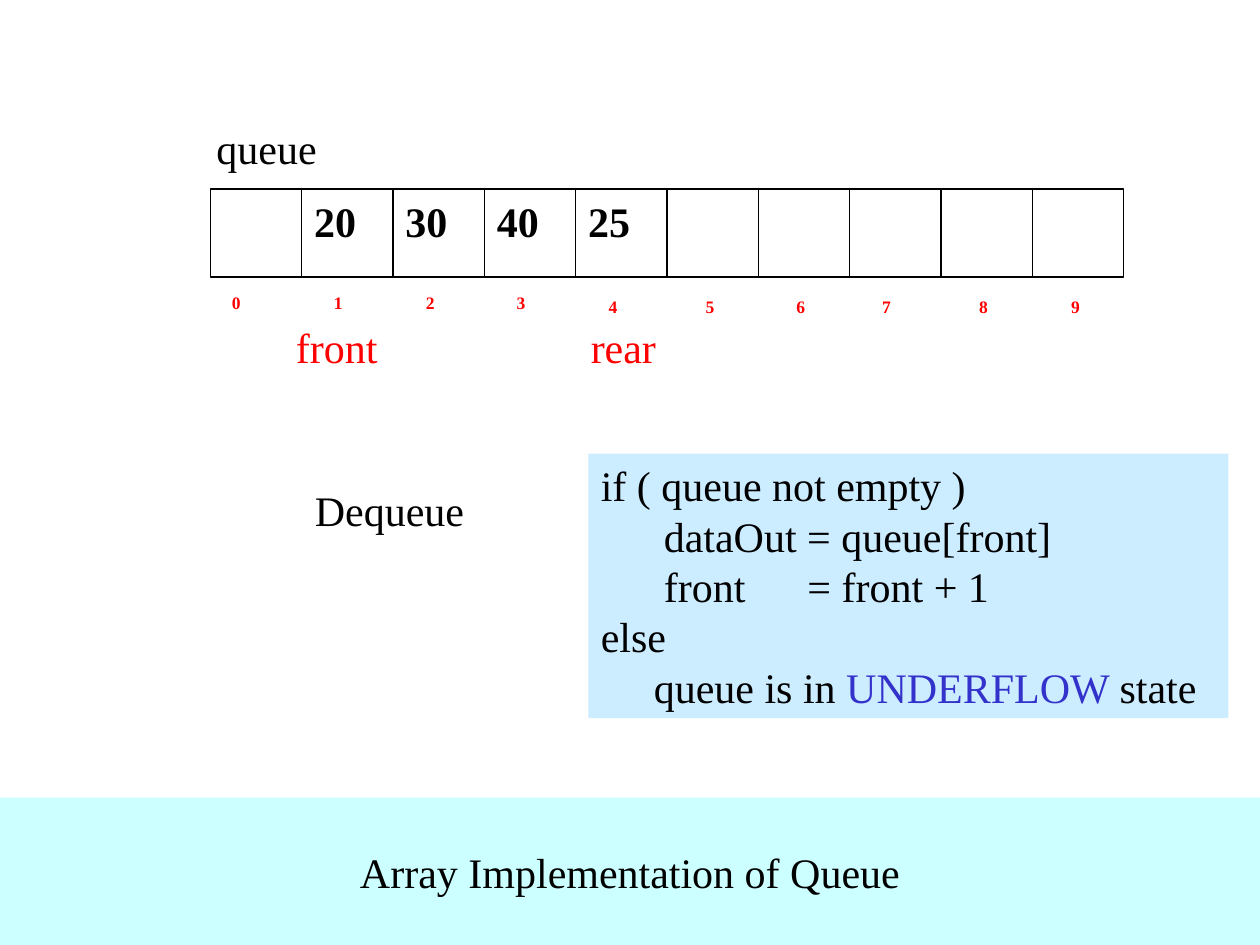
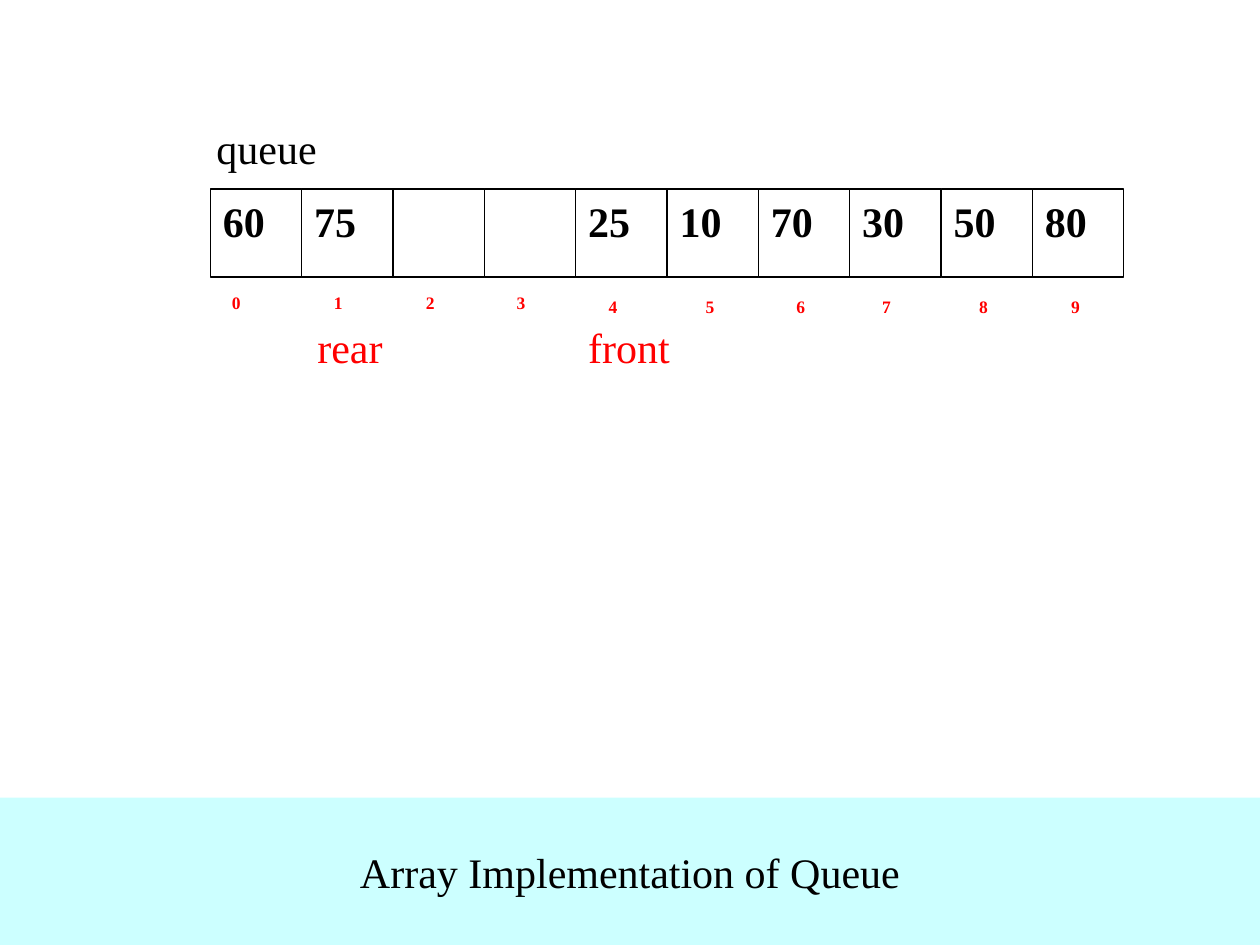
from dataclasses import dataclass

from lxml import etree
from pptx import Presentation
from pptx.dml.color import RGBColor
from pptx.enum import shapes, text
from pptx.oxml import ns
from pptx.util import Inches, Pt


@dataclass(frozen=True)
class Theme:
    font: str = "Times New Roman"
    body: int = 24
    small: int = 10
    ink: str = "000000"
    paper: str = "FFFFFF"
    pointer: str = "FF0000"
    keyword: str = "3333CC"
    code: str = "CCECFF"
    band: str = "CCFFFF"
    border: float = 0.75


THEME = Theme()


@dataclass(frozen=True)
class Area:
    left: float
    top: float
    width: float
    height: float

    def lengths(self) -> tuple:
        return tuple(Inches(v) for v in (self.left, self.top, self.width, self.height))


@dataclass(frozen=True)
class Label:
    words: str
    area: Area
    color: str = THEME.ink
    wrap: bool = False


@dataclass(frozen=True)
class CodeLine:
    """One line of pseudocode: coloured spans and the tab stops they use."""
    spans: tuple[tuple[str, str], ...]
    stops: tuple[float, ...] = ()


@dataclass(frozen=True)
class QueueState:
    values: tuple[str, ...]
    labels: tuple[Label, ...]
    code: tuple[CodeLine, ...] = ()


ROW_LEFT, ROW_TOP, ROW_WIDTH = 1.67, 1.5, 7.25
CELL_HEIGHT = 0.7
INDEX_WIDTH = 0.41
INDEX_LEFTS = (1.67, 2.48, 3.21, 3.93, 4.66, 5.43, 6.15, 6.83, 7.6, 8.33)
POINTER_TOP = 2.5
CODE_AREA = Area(4.67, 3.6, 5.08, 2.1)
BAND_AREA = Area(0, 6.33, 10, 1.17)
BAND_TITLE = "Array Implementation of Queue"
QUEUE_NAME = Label("queue", Area(1.62, 0.92, 1, 0.5))


def pointer(words: str, left: float, width: float) -> Label:
    return Label(words, Area(left, POINTER_TOP, width, 0.5), THEME.pointer)


DEQUEUE_CODE = (
    CodeLine((("if ( queue not empty )", THEME.ink),)),
    CodeLine((("\tdataOut = queue[front]", THEME.ink),), (0.5,)),
    CodeLine((("\tfront\t= front + 1", THEME.ink),), (0.5, 1.64)),
    CodeLine((("else", THEME.ink),)),
    CodeLine((("\tqueue is in ", THEME.ink), ("UNDERFLOW ", THEME.keyword),
              ("state", THEME.ink)), (0.42,)),
)

STATES = (
    QueueState(
        ("", "20", "30", "40", "25", "", "", "", "", ""),
        (Label("Dequeue", Area(2.4, 3.8, 1.52, 0.5), wrap=True),
         pointer("rear", 4.59, 0.72), pointer("front", 2.25, 0.85)),
        DEQUEUE_CODE,
    ),
    QueueState(
        ("60", "75", "", "", "25", "10", "70", "30", "50", "80"),
        (pointer("rear", 2.42, 0.72), pointer("front", 4.57, 0.85)),
    ),
)


def style(para, size: int = THEME.body, color: str = THEME.ink, bold: bool = False) -> None:
    para.font.name = THEME.font
    para.font.size = Pt(size)
    para.font.bold = bold
    para.font.color.rgb = RGBColor.from_string(color)


def add_box(owner, area: Area, fill: str, bordered: bool = False):
    """Add a filled rectangle whose text starts at the top left."""
    box = owner.shapes.add_shape(shapes.MSO_SHAPE.RECTANGLE, *area.lengths())
    box.shadow.inherit = False
    box.fill.solid()
    box.fill.fore_color.rgb = RGBColor.from_string(fill)
    if bordered:
        box.line.color.rgb = RGBColor.from_string(THEME.ink)
        box.line.width = Pt(THEME.border)
    else:
        box.line.fill.background()
    box.text_frame.vertical_anchor = text.MSO_ANCHOR.TOP
    box.text_frame.paragraphs[0].alignment = text.PP_ALIGN.LEFT
    return box


def add_label(page, label: Label) -> None:
    frame = page.shapes.add_textbox(*label.area.lengths()).text_frame
    frame.word_wrap = label.wrap
    frame.auto_size = text.MSO_AUTO_SIZE.SHAPE_TO_FIT_TEXT
    frame.text = label.words
    style(frame.paragraphs[0], color=label.color)


def add_cells(page, values: tuple[str, ...]) -> None:
    row = page.shapes.add_group_shape()
    width = ROW_WIDTH / len(values)
    for i, value in enumerate(values):
        area = Area(ROW_LEFT + i * width, ROW_TOP, width, CELL_HEIGHT)
        frame = add_box(row, area, THEME.paper, bordered=True).text_frame
        if value:
            frame.text = value
            style(frame.paragraphs[0], bold=True)


def add_indices(page) -> None:
    row = page.shapes.add_group_shape()
    for i, left in enumerate(INDEX_LEFTS):
        top = 2.27 if i < 4 else 2.3
        frame = add_box(row, Area(left, top, INDEX_WIDTH, CELL_HEIGHT), THEME.paper).text_frame
        frame.margin_left = Inches(0.17)
        frame.text = str(i)
        style(frame.paragraphs[0], THEME.small, THEME.pointer, bold=True)


def set_tab_stops(para, stops: tuple[float, ...]) -> None:
    tabs = etree.SubElement(para._p.get_or_add_pPr(), ns.qn("a:tabLst"))
    for stop in stops:
        etree.SubElement(tabs, ns.qn("a:tab"), pos=str(Inches(stop)), algn="l")


def add_code(page, lines: tuple[CodeLine, ...]) -> None:
    frame = add_box(page, CODE_AREA, THEME.code).text_frame
    for i, line in enumerate(lines):
        para = frame.add_paragraph() if i else frame.paragraphs[0]
        para.alignment = text.PP_ALIGN.LEFT
        if line.stops:
            set_tab_stops(para, line.stops)
        for words, color in line.spans:
            span = para.add_run()
            span.text = words
            span.font.name = THEME.font
            span.font.size = Pt(THEME.body)
            span.font.color.rgb = RGBColor.from_string(color)


def add_band(page) -> None:
    frame = add_box(page, BAND_AREA, THEME.band).text_frame
    frame.vertical_anchor = text.MSO_ANCHOR.MIDDLE
    frame.word_wrap = False
    frame.text = BAND_TITLE
    frame.paragraphs[0].alignment = text.PP_ALIGN.CENTER
    style(frame.paragraphs[0])


def add_state(deck, state: QueueState) -> None:
    page = deck.slides.add_slide(deck.slide_layouts[6])
    if state.code:
        add_code(page, state.code)
    add_cells(page, state.values)
    add_indices(page)
    for label in (QUEUE_NAME, *state.labels):
        add_label(page, label)
    add_band(page)


def main() -> None:
    deck = Presentation()
    deck.slide_width, deck.slide_height = Inches(10), Inches(7.5)
    for state in STATES:
        add_state(deck, state)
    deck.save("out.pptx")


if __name__ == "__main__":
    main()
